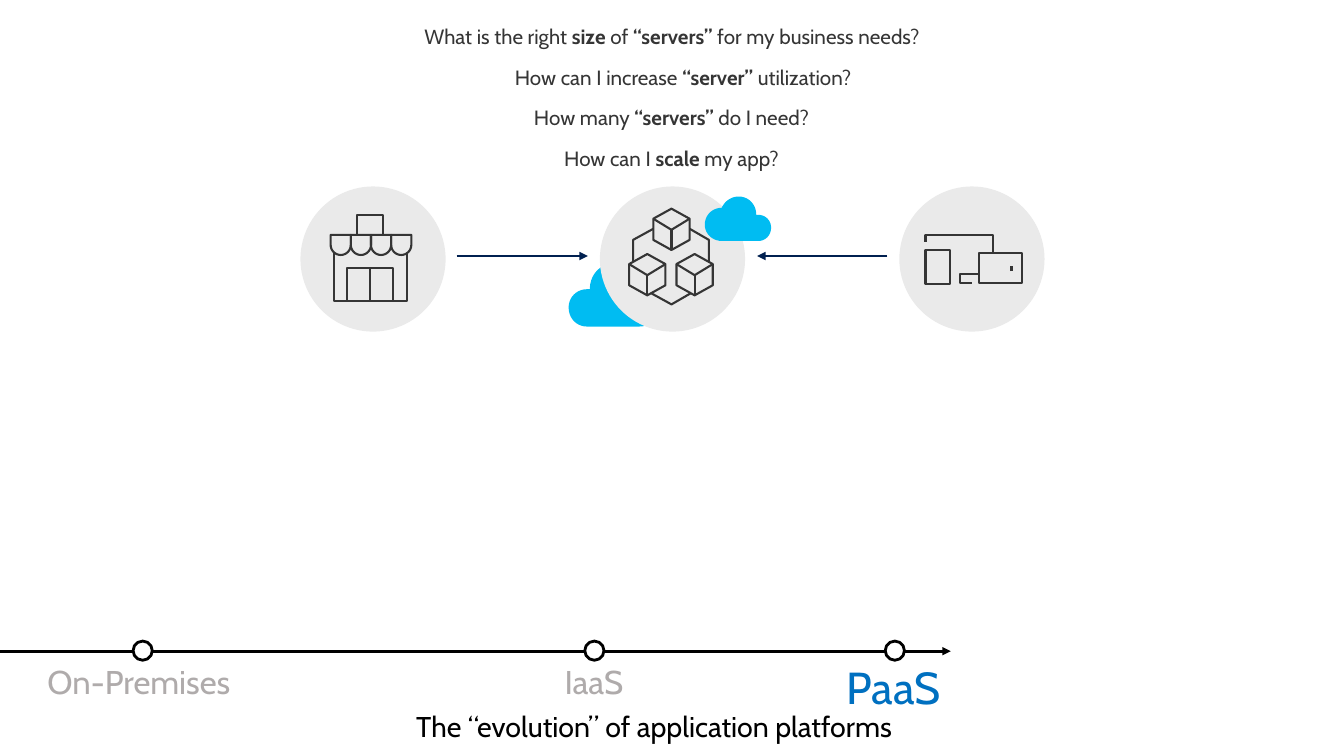
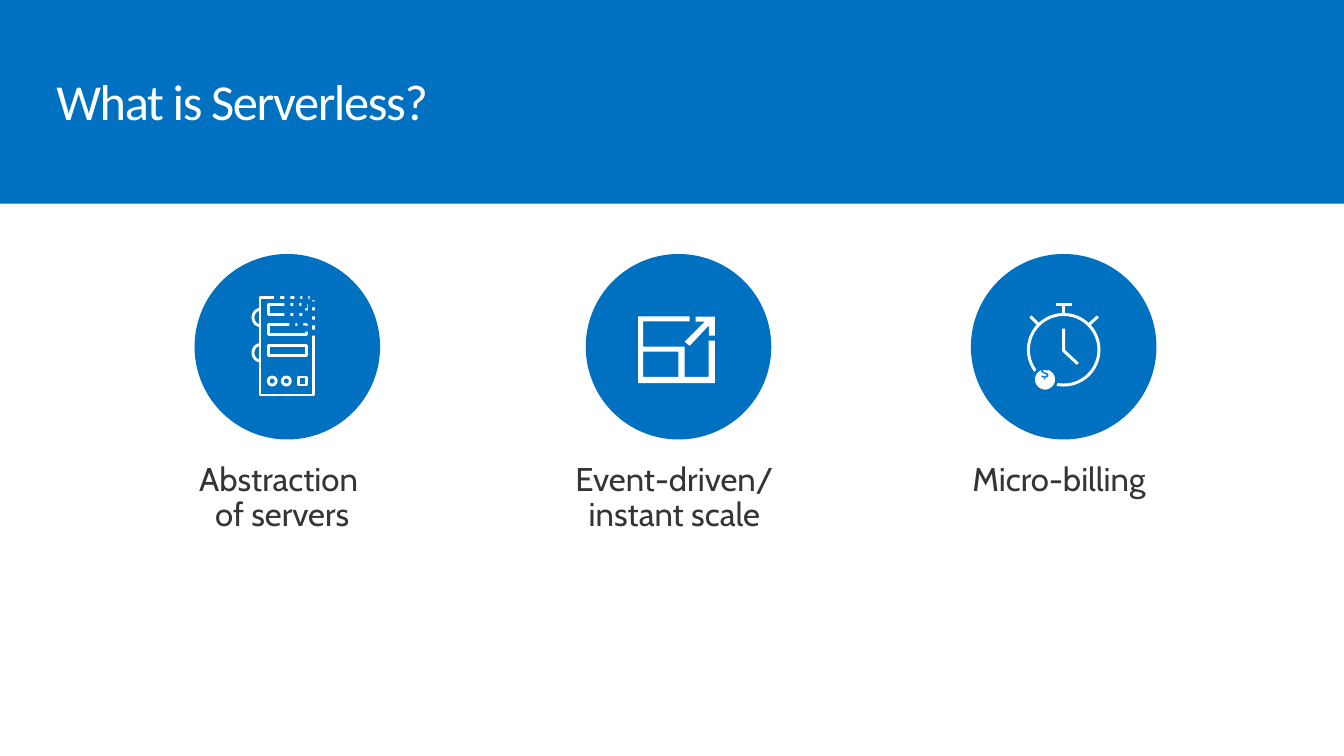
import math

import pptx
import pptx.util
import pptx.dml.color
import pptx.enum.shapes
import pptx.enum.text
import pptx.oxml.ns
from lxml import etree

WIDE, HIGH = 13.33, 7.5
HUE = {"blue": "0070C0", "coin": "0078D7", "sky": "00BCF2", "navy": "002050",
       "ink": "353535", "disc": "EAEAEA", "mute": "AFABAB",
       "black": "000000", "white": "FFFFFF"}
KIND = pptx.enum.shapes.MSO_SHAPE
RECT, OVAL = KIND.RECTANGLE, KIND.OVAL
ALIGN = pptx.enum.text.PP_ALIGN

# Asterisks enclose bold words; then left and width
ASKS = [
    ("What is the right *size* of *“servers”* for my business needs?", 3.61, 6.11),
    ("How can I increase* “server”* utilization?", 4.58, 4.39),
    ("How many *“servers” *do I need?", 4.59, 4.14),
    ("How can I *scale* my app?", 5.43, 2.46),
]
# Name, dot centre, label left, label width, label height, size, colour
STAGES = [
    ("On-Premises", 1.42, 0.27, 2.29, 0.68, 23.5, "mute"),
    ("IaaS", 5.9, 5.4, 1.01, 0.68, 23.5, "mute"),
    ("PaaS", 8.88, 8.2, 1.34, 0.8, 32, "blue"),
]
MOTTO = "The “evolution” of application platforms"
TITLE = "What is Serverless?"
# Name, disc left, label left, label width, label height
TRAITS = [
    ("Abstraction \nof servers", 1.93, 1.44, 2.82, 1.04),
    ("Event-driven/ instant scale", 5.81, 5.28, 2.92, 1.04),
    ("Micro-billing", 9.63, 9.21, 2.69, 0.68),
]
# Bezier curves of a cloud, in a box of 0.94 by 0.63
PUFFS = [
    ((0.21, 0.26), (0.21, 0.11), (0.32, 0), (0.46, 0)),
    ((0.46, 0), (0.57, 0), (0.66, 0.07), (0.7, 0.16)),
    ((0.7, 0.16), (0.83, 0.16), (0.94, 0.26), (0.94, 0.4)),
    ((0.94, 0.4), (0.94, 0.53), (0.83, 0.63), (0.7, 0.63)),
    ((0.18, 0.63), (0.08, 0.63), (0, 0.55), (0, 0.44)),
    ((0, 0.44), (0, 0.34), (0.08, 0.26), (0.18, 0.26)),
]
# Top left of each blue speck that dissolves the server
SPECKS = [
    (2.72, 2.92), (2.82, 2.91), (2.92, 2.92), (3, 2.91), (3.07, 2.92),
    (2.82, 2.98), (2.91, 2.98), (2.99, 3), (3.09, 2.99),
    (2.82, 3.1), (2.91, 3.09), (3, 3.08), (3.09, 3.08), (3.08, 3.17),
    (2.87, 3.2), (2.95, 3.2), (3, 3.23), (3.08, 3.27),
]


def emu(*vals):
    return [pptx.util.Inches(val) for val in vals]


def tint(name):
    return pptx.dml.color.RGBColor.from_string(HUE[name])


def style(shape, fill=None, line=None, thick=1.5):
    shape.shadow.inherit = False
    if fill:
        shape.fill.solid()
        shape.fill.fore_color.rgb = tint(fill)
    else:
        shape.fill.background()
    if line:
        shape.line.color.rgb = tint(line)
        shape.line.width = pptx.util.Pt(thick)
    else:
        shape.line.fill.background()
    return shape


def block(slide, kind, left, top, wide, high, **look):
    return style(slide.shapes.add_shape(kind, *emu(left, top, wide, high)), **look)


def trace(slide, *loops, close=False, **look):
    """Draw one freeform of one or more point lists."""
    loops = [[emu(*spot) for spot in loop] for loop in loops]
    pen = slide.shapes.build_freeform(*loops[0][0], scale=1.0)
    for num, loop in enumerate(loops):
        if num:
            pen.move_to(*loop[0])
        pen.add_line_segments(loop[1:], close=close)
    return style(pen.convert_to_shape(), **look)


def rule(slide, start, end, color, thick=1.5, arrow=False):
    line = slide.shapes.add_connector(
        pptx.enum.shapes.MSO_CONNECTOR.STRAIGHT, *emu(*start, *end))
    line.line.color.rgb = tint(color)
    line.line.width = pptx.util.Pt(thick)
    name = pptx.oxml.ns.qn
    if arrow:
        tail = etree.SubElement(line.line._get_or_add_ln(), name("a:tailEnd"))
        tail.set("type", "triangle")
    etree.SubElement(line._element.spPr, name("a:effectLst"))
    return line


def write(slide, text, left, top, wide, high, size=23.5, color="ink", font="Cabin",
          align=ALIGN.LEFT, pad=(0.1, 0.05, 0.1, 0.05), wrap=True, grow=True,
          middle=False, lead=None, after=None, track=None):
    frame = slide.shapes.add_textbox(*emu(left, top, wide, high)).text_frame
    frame.word_wrap = wrap
    fit = pptx.enum.text.MSO_AUTO_SIZE
    frame.auto_size = fit.SHAPE_TO_FIT_TEXT if grow else fit.NONE
    anchor = pptx.enum.text.MSO_ANCHOR
    frame.vertical_anchor = anchor.MIDDLE if middle else anchor.TOP
    (frame.margin_left, frame.margin_top,
     frame.margin_right, frame.margin_bottom) = emu(*pad)
    para = frame.paragraphs[0]
    para.alignment = align
    if lead:
        para.line_spacing = lead
    if after:
        para.space_after = pptx.util.Pt(after)
    for row, line in enumerate(text.split("\n")):
        if row:
            para.add_line_break()
        for num, part in enumerate(line.split("*")):
            run = para.add_run()
            run.text = part
            run.font.name = font
            run.font.size = pptx.util.Pt(size)
            run.font.bold = num % 2 == 1
            run.font.color.rgb = tint(color)
            if track:
                run._r.get_or_add_rPr().set("spc", str(track * 100))


def label(slide, text, *box, inset=0.2, **form):
    write(slide, text, *box, pad=(inset, 0.16, 0.2, 0.16), lead=0.9, after=5.9, **form)


def bend(curve, steps=10):
    """Sample a cubic Bezier curve."""
    spots = []
    for num in range(steps + 1):
        t = num / steps
        mix = ((1 - t) ** 3, 3 * t * (1 - t) ** 2, 3 * t * t * (1 - t), t ** 3)
        spots.append([sum(m * p[axis] for m, p in zip(mix, curve)) for axis in (0, 1)])
    return spots


def arc(x, y, wide, high, start, end, steps=16):
    """Sample an elliptic arc about a centre, angles in degrees."""
    turns = [math.radians(start + (end - start) * n / steps) for n in range(steps + 1)]
    return [(x + wide * math.cos(a), y + high * math.sin(a)) for a in turns]


def cloud(slide, left, top, scale, flip=False):
    spots = [spot for curve in PUFFS for spot in bend(curve)]
    trace(slide, [(left + scale * (0.94 - x if flip else x), top + scale * y)
                  for x, y in spots], close=True, fill="sky")


def cube(slide, x, top):
    left, right = x - 0.18, x + 0.18
    high, mid, low, base = (top + step for step in (0.1, 0.21, 0.31, 0.41))
    trace(slide, [(x, top), (right, high), (right, low), (x, base), (left, low),
                  (left, high)], close=True, line="ink")
    trace(slide, [(right, high), (x, mid), (left, high)], line="ink")
    rule(slide, (x, mid), (x, base), "ink")


def hub(slide):
    for x, top in ((6.89, 2.52), (6.42, 2.52), (6.66, 2.07)):
        cube(slide, x, top)
    for link in ([(6.85, 2.91), (6.66, 3.02), (6.46, 2.91)],
                 [(6.84, 2.27), (7.03, 2.38), (7.03, 2.6)],
                 [(6.28, 2.6), (6.28, 2.38), (6.48, 2.27)]):
        trace(slide, link, line="ink")


def shop(slide):
    left, eave, step = 3.28, 2.33, 0.2
    block(slide, RECT, 3.54, 2.13, 0.26, 0.2, line="ink")
    trace(slide, [(3.31, 2.5), (3.31, 2.99), (4.04, 2.99), (4.04, 2.5)], line="ink")
    for num in range(4):
        x = left + num * step
        trace(slide, [(x, eave), *arc(x + step / 2, 2.43, step / 2, 0.1, 180, 0),
                      (x + step, eave)], close=True, line="ink")
    door = block(slide, RECT, 3.44, 2.66, 0.46, 0.33, line="ink")
    split = rule(slide, (3.67, 2.66), (3.67, 2.99), "ink")
    split.begin_connect(door, 0)
    split.end_connect(door, 2)


def screens(slide):
    block(slide, RECT, 9.18, 2.48, 0.24, 0.34, line="ink")
    block(slide, RECT, 9.71, 2.51, 0.43, 0.3, line="ink")
    rule(slide, (10.03, 2.69), (10.03, 2.64), "ink", 2)
    trace(slide, [(9.71, 2.72), (9.52, 2.72), (9.52, 2.81), (9.64, 2.81)], line="ink")
    trace(slide, [(9.18, 2.4), (9.18, 2.33), (9.85, 2.33), (9.85, 2.51)], line="ink")


def server(slide):
    pen = {"line": "white", "thick": 2}
    block(slide, RECT, 2.58, 2.95, 0.53, 0.97, **pen)
    for top in (3.02, 3.22, 3.43):
        block(slide, RECT, 2.66, top, 0.38, 0.1, **pen)
    for y in (3.15, 3.5):
        trace(slide, arc(2.58, y, 0.07, 0.08, 270, 90), **pen)
    for kind, left in ((OVAL, 2.66), (OVAL, 2.8), (RECT, 2.96)):
        block(slide, kind, left, 3.74, 0.08, 0.08, **pen)
    for left, top in SPECKS:
        block(slide, RECT, left, top, 0.06, 0.06, fill="blue")


def scale(slide):
    frame = [(7.03, 3.74), (6.79, 3.74), (6.79, 3.44), (6.38, 3.44), (6.38, 3.19),
             (6.84, 3.19), (6.84, 3.14), (6.33, 3.14), (6.33, 3.8), (7.09, 3.8),
             (7.09, 3.38), (7.03, 3.38)]
    hole = [(6.38, 3.49), (6.73, 3.49), (6.73, 3.74), (6.38, 3.74)]
    arrow = [(6.9, 3.19), (6.99, 3.19), (6.79, 3.39), (6.84, 3.43), (7.03, 3.23),
             (7.03, 3.33), (7.09, 3.33), (7.09, 3.14), (6.9, 3.14)]
    trace(slide, frame, hole, close=True, fill="white")
    trace(slide, arrow, close=True, fill="white")


def watch(slide):
    x, thick = 10.55, 2.13
    trace(slide, [(x, 3.26), (x, 3.48), (10.69, 3.61)], line="white", thick=thick)
    block(slide, OVAL, 10.2, 3.12, 0.7, 0.7, line="white", thick=thick)
    for start, end in (((10.47, 3.02), (10.63, 3.02)), ((x, 3.12), (x, 3.02)),
                       ((10.89, 3.14), (10.79, 3.23)), ((10.22, 3.14), (10.31, 3.23))):
        rule(slide, start, end, "white", thick)
    block(slide, OVAL, 10.25, 3.65, 0.23, 0.23, fill="white", line="blue", thick=2)
    label(slide, "$", 10.12, 3.53, 0.49, 0.49, size=11.8, color="coin", wrap=False)


def journey(slide):
    axis = 6.46
    rule(slide, (-0.01, axis), (9.43, axis), "black", 2, arrow=True)
    for name, x, left, wide, high, size, color in STAGES:
        label(slide, name, left, 6.45, wide, high, size=size, color=color, wrap=False)
        block(slide, OVAL, x - 0.1, axis - 0.1, 0.19, 0.19,
              fill="white", line="black", thick=2)
    cloud(slide, 5.64, 2.61, 1)
    for num, draw in enumerate((shop, hub, screens)):
        block(slide, OVAL, 2.98 + 2.97 * num, 1.85, 1.44, 1.44, fill="disc")
        draw(slide)
    for start, end in ((4.53, 5.83), (8.8, 7.51)):
        rule(slide, (start, 2.54), (end, 2.54), "navy", 2, arrow=True)
    cloud(slide, 6.99, 1.95, 0.7, flip=True)
    for row, (text, left, wide) in enumerate(ASKS):
        write(slide, text, left, 0.19 + 0.403 * row, wide, 0.35,
              size=14.7, align=ALIGN.CENTER)
    write(slide, MOTTO, 4.03, 7.07, 5.19, 0.35, size=20.4, color="black",
          grow=False, middle=True, lead=0.7)


def meaning(slide):
    block(slide, RECT, 0, 0, WIDE, 2.02, fill="blue")
    write(slide, TITLE, 0.46, 0.71, 12.75, 0.59, size=36, color="white",
          font="Calibri", grow=False, lead=0.9, track=-1)
    for (name, disc, left, wide, high), draw in zip(TRAITS, (server, scale, watch)):
        label(slide, name, left, 4.43, wide, high, inset=0.1, align=ALIGN.CENTER)
        block(slide, OVAL, disc, 2.52, 1.84, 1.84, fill="blue")
        draw(slide)


def main():
    deck = pptx.Presentation()
    deck.slide_width, deck.slide_height = emu(WIDE, HIGH)
    for build in (journey, meaning):
        build(deck.slides.add_slide(deck.slide_layouts[6]))
    deck.save("out.pptx")


if __name__ == "__main__":
    main()
